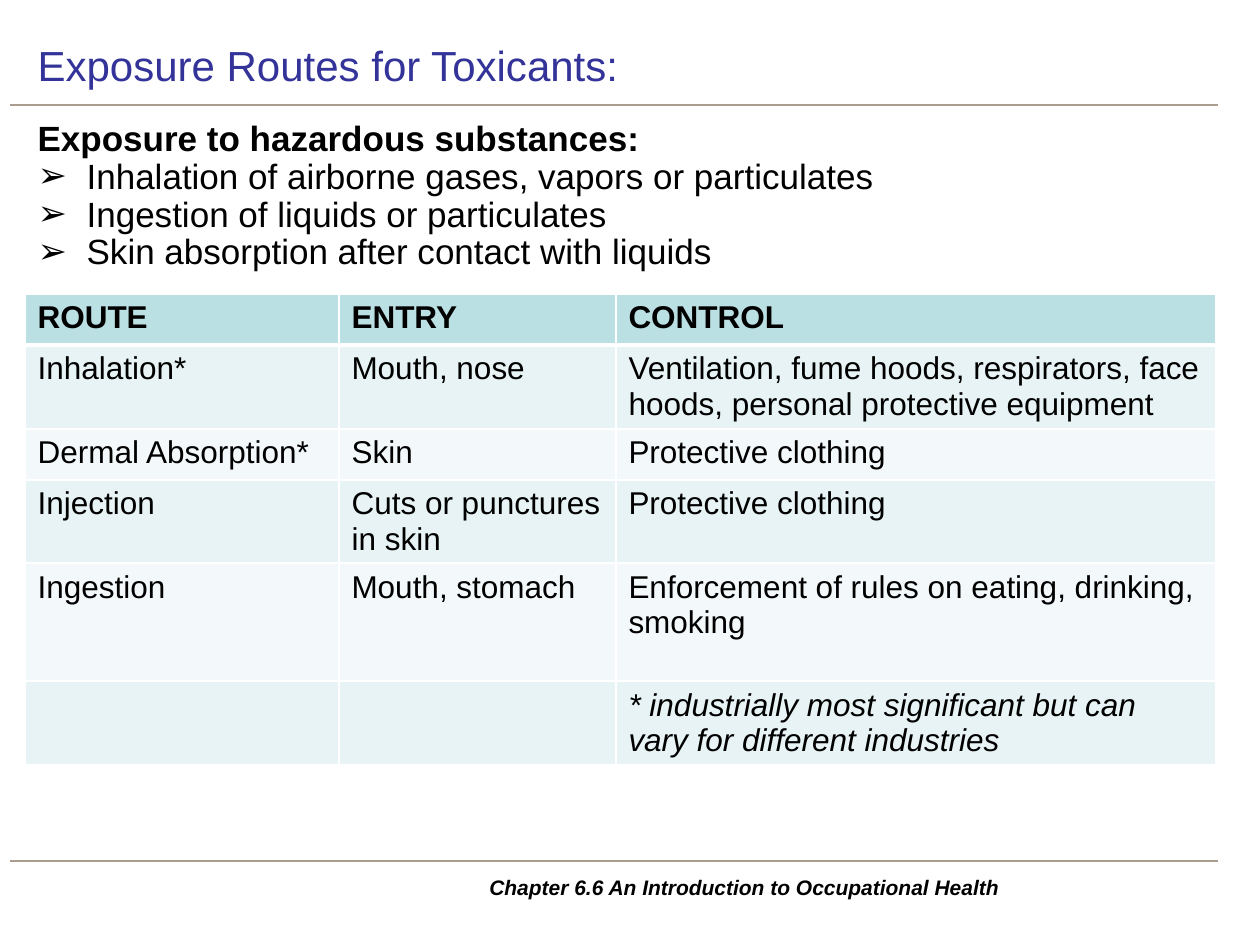
"""Build the slide on exposure routes for toxicants."""
from lxml import etree
from pptx import Presentation, util as u
from pptx.dml.color import RGBColor
from pptx.enum import shapes, text
from pptx.oxml.ns import qn

TITLE = "Exposure Routes for Toxicants:"
LEAD = "Exposure to hazardous substances:"
BULLETS = [
    "Inhalation of airborne gases, vapors or particulates",
    "Ingestion of liquids or particulates",
    "Skin absorption after contact with liquids",
]
ROUTES = [
    ("ROUTE", "ENTRY", "CONTROL"),
    ("Inhalation*", "Mouth, nose",
     "Ventilation, fume hoods, respirators, face hoods, personal protective equipment"),
    ("Dermal Absorption*", "Skin", "Protective clothing"),
    ("Injection", "Cuts or punctures in skin", "Protective clothing"),
    ("Ingestion", "Mouth, stomach", "Enforcement of rules on eating, drinking, smoking"),
    ("", "", "* industrially most significant but can vary for different industries"),
]
FOOTER = "Chapter 6.6 An Introduction to Occupational Health"

THEME = {
    "font": "Arial", "ink": "000000", "title": "333399", "rule": "AA9C8F",
    "border": "FFFFFF", "head": "BBE0E3", "bands": ("F3F9FA", "E7F3F4"),
    "title_pt": 24, "body_pt": 20, "table_pt": 18, "footer_pt": 12,
}
BOXES = {
    "title": (25, 30, 1191, 69), "body": (25, 115, 1191, 735),
    "table": (25, 294, 1191, 470), "footer": (372, 868, 745, 39),
}
COLS = (314, 277, 600)
ROWS = (51, 84, 51, 83, 118, 83)
RULES_Y = (105, 861)
RULE_X = (10, 1218)
HANG = 49


def px(n):
    return u.Emu(round(n * 914400 / 126))


def box(key):
    return [px(n) for n in BOXES[key]]


def put(obj, **values):
    for name, value in values.items():
        setattr(obj, name, value)


def write(p, words, size, color=THEME["ink"], **style):
    r = p.add_run()
    r.text = words
    put(r.font, name=THEME["font"], size=u.Pt(size), **style)
    r.font.color.rgb = RGBColor.from_string(color)


def place(sp, key, anchor):
    put(sp, **dict(zip(("left", "top", "width", "height"), box(key))))
    put(sp.text_frame, word_wrap=True, vertical_anchor=anchor,
        auto_size=text.MSO_AUTO_SIZE.NONE)
    return sp.text_frame


def bullet(p, char=None):
    pPr = p._p.get_or_add_pPr()
    pPr.set("marL", str(px(HANG) if char else 0))
    pPr.set("indent", str(-px(HANG) if char else 0))
    if char:
        etree.SubElement(pPr, qn("a:buFont"), typeface=THEME["font"])
        etree.SubElement(pPr, qn("a:buChar"), char=char)
    else:
        etree.SubElement(pPr, qn("a:buNone"))


def border(cell, **points):
    tcPr = cell._tc.get_or_add_tcPr()
    for side in "LRTB":
        ln = etree.SubElement(tcPr, qn("a:ln" + side), w=str(u.Pt(points.get(side, 1))))
        fill = etree.SubElement(ln, qn("a:solidFill"))
        etree.SubElement(fill, qn("a:srgbClr"), val=THEME["border"])


prs = Presentation()
put(prs, slide_width=u.Inches(10), slide_height=u.Inches(7.5))
s = prs.slides.add_slide(prs.slide_layouts[1])

for y in RULES_Y:
    ln = s.shapes.add_connector(shapes.MSO_CONNECTOR.STRAIGHT,
                                px(RULE_X[0]), px(y), px(RULE_X[1]), px(y))
    ln.line.width = u.Pt(0.75)
    ln.line.color.rgb = RGBColor.from_string(THEME["rule"])
    etree.SubElement(ln._element.spPr, qn("a:effectLst"))

tf = place(s.shapes.title, "title", text.MSO_ANCHOR.MIDDLE)
tf.paragraphs[0].alignment = text.PP_ALIGN.LEFT
write(tf.paragraphs[0], TITLE, THEME["title_pt"], THEME["title"])

tf = place(s.placeholders[1], "body", text.MSO_ANCHOR.TOP)
for i, words in enumerate([LEAD] + BULLETS):
    p = tf.add_paragraph() if i else tf.paragraphs[0]
    put(p, line_spacing=0.9, space_before=u.Pt(0))
    bullet(p, "➢" if i else None)
    write(p, words, THEME["body_pt"], bold=not i)

tbl = s.shapes.add_table(len(ROWS), len(COLS), *box("table")).table
for col, width in zip(tbl.columns, COLS):
    col.width = px(width)
for i, (row, height, words) in enumerate(zip(tbl.rows, ROWS, ROUTES)):
    row.height = px(height)
    for cell, label in zip(row.cells, words):
        border(cell, T=3 if i == 1 else 1, B=1 if i else 3)
        cell.fill.solid()
        cell.fill.fore_color.rgb = RGBColor.from_string(
            THEME["bands"][i % 2] if i else THEME["head"])
        if label:
            write(cell.text_frame.paragraphs[0], label, THEME["table_pt"],
                  bold=not i, italic=label.startswith("*"))

tf = place(s.shapes.add_textbox(*box("footer")), "footer", text.MSO_ANCHOR.MIDDLE)
tf.paragraphs[0].alignment = text.PP_ALIGN.CENTER
write(tf.paragraphs[0], FOOTER, THEME["footer_pt"], bold=True, italic=True)

prs.save("out.pptx")
